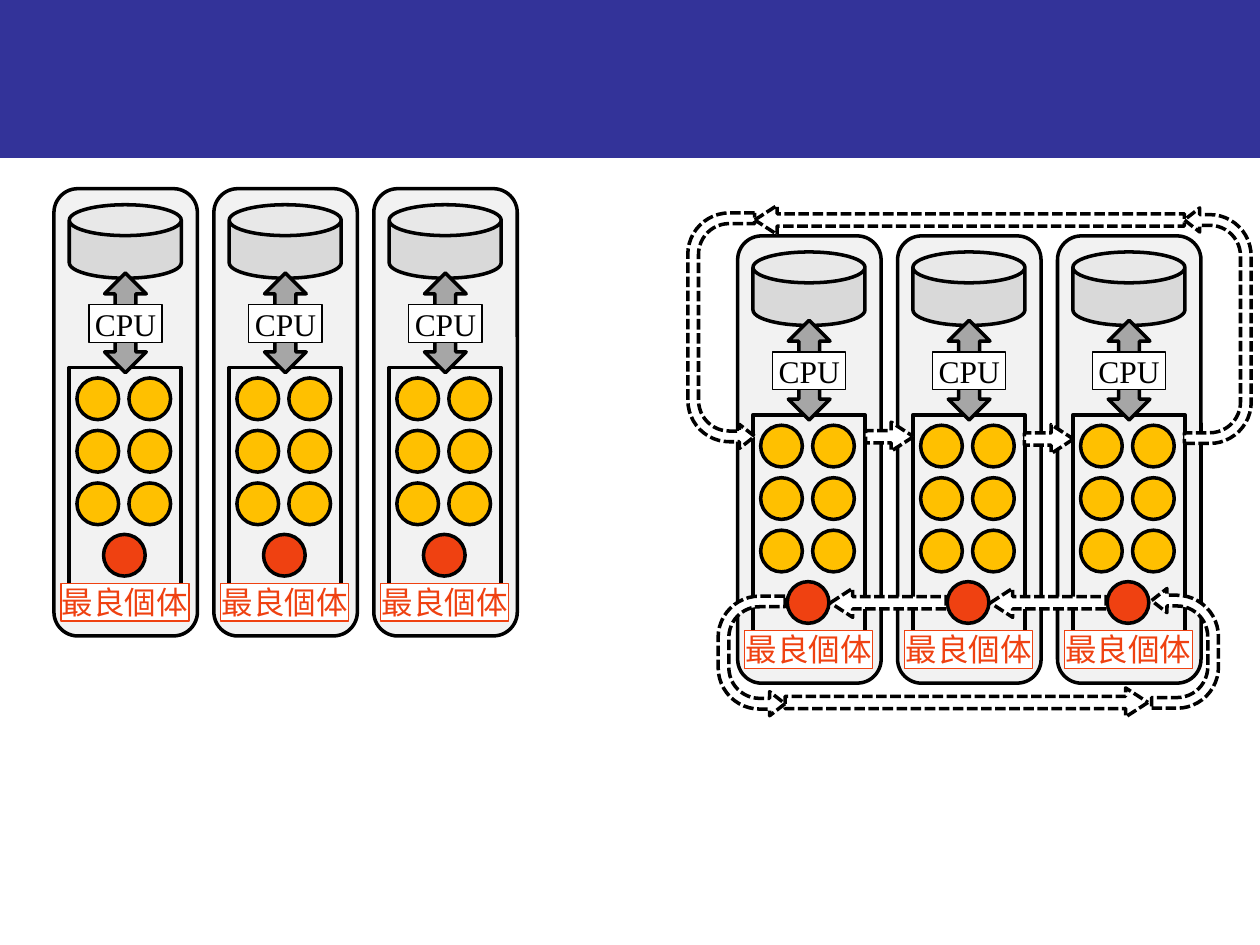
from pptx import Presentation
from pptx.dml.color import RGBColor
from pptx.enum.dml import MSO_LINE
from pptx.enum.shapes import MSO_SHAPE
from pptx.enum.text import MSO_ANCHOR, PP_ALIGN
from pptx.util import Pt

BLACK = RGBColor(0x00, 0x00, 0x00)
WHITE = RGBColor(0xFF, 0xFF, 0xFF)
BLUE = RGBColor(0x33, 0x33, 0x99)
PALE = RGBColor(0xF2, 0xF2, 0xF2)
SILVER = RGBColor(0xD9, 0xD9, 0xD9)
GRAY = RGBColor(0xA6, 0xA6, 0xA6)
GOLD = RGBColor(0xFF, 0xC0, 0x00)
RED = RGBColor(0xEF, 0x41, 0x11)

TOP, LOW = 107.8, 134.8
LEFT, RIGHT = 30.8, 421.5
PITCH = 91.4
DOT = 23.8


class Board:
    """Draw the parts of the island model on one slide."""

    font = "Times New Roman"
    size = Pt(18)
    thin = 0.75
    thick = 2

    def __init__(self, slide):
        self.slide = slide

    def shape(self, kind, box, fill, line=BLACK, width=thick, adjust=(), home=None):
        part = (home or self.slide).shapes.add_shape(kind, *map(Pt, box))
        part.shadow.inherit = False
        part.fill.solid()
        part.fill.fore_color.rgb = fill
        part.line.color.rgb = line
        part.line.width = Pt(width)
        for i, value in enumerate(adjust):
            part.adjustments[i] = value
        return part

    def label(self, text, box, color, home):
        part = self.shape(MSO_SHAPE.RECTANGLE, box, WHITE, color, self.thin, home=home)
        frame = part.text_frame
        frame.margin_left = frame.margin_right = frame.margin_top = frame.margin_bottom = 0
        frame.word_wrap = False
        frame.vertical_anchor = MSO_ANCHOR.MIDDLE
        frame.text = text
        para = frame.paragraphs[0]
        para.alignment = PP_ALIGN.CENTER
        font = para.runs[0].font
        font.name, font.size, font.color.rgb = self.font, self.size, color

    def node(self, x, y):
        group = self.slide.shapes.add_group_shape()

        def put(kind, dx, dy, w, h, fill, adjust=()):
            self.shape(kind, (x + dx, y + dy, w, h), fill, adjust=adjust, home=group)

        put(MSO_SHAPE.ROUNDED_RECTANGLE, 0, 0, 82, 255.6, PALE)
        put(MSO_SHAPE.RECTANGLE, 8.8, 102.2, 64, 126, PALE)
        for row in range(3):
            for col in range(2):
                put(MSO_SHAPE.OVAL, 13.2 + 29.7 * col, 108.2 + 30 * row, DOT, DOT, GOLD)
        put(MSO_SHAPE.CAN, 8.8, 9.2, 64, 42, SILVER, (0.42,))
        put(MSO_SHAPE.UP_DOWN_ARROW, 29, 48.2, DOT, 57, GRAY)
        self.label("CPU", (x + 20, y + 66.4, 41.8, 21.6), BLACK, group)
        self.label("最良個体", (x + 4, y + 225.5, 73.2, 21.6), RED, group)
        put(MSO_SHAPE.OVAL, 28.4, 197.6, DOT, DOT, RED)

    def dash(self, kind, box, turn, adjust):
        part = self.shape(kind, box, WHITE, adjust=adjust)
        part.line.dash_style = MSO_LINE.SQUARE_DOT
        part.rotation = turn
        return part

    def arrow(self, x, y, w, turn=0):
        self.dash(MSO_SHAPE.LEFT_ARROW, (x, y, w, 16.6), turn, (0.42, 0.77))

    def bend(self, x, y, w, turn):
        part = self.dash(MSO_SHAPE.U_TURN_ARROW, (x, y, w, 38.2), turn,
                         (0.16, 0.18, 0.23, 0.62, 1))
        part.element.spPr.get_or_add_xfrm().set("flipH", "1")


def main():
    deck = Presentation()
    deck.slide_width, deck.slide_height = Pt(720), Pt(540)
    board = Board(deck.slides.add_slide(deck.slide_layouts[6]))

    board.shape(MSO_SHAPE.RECTANGLE, (0, 0, 720, 90), BLUE, BLUE, board.thin)
    for i in range(3):
        board.node(LEFT + PITCH * i, TOP)

    board.node(RIGHT, LOW)
    board.arrow(448.6, 393.1, 207.4, 180)
    board.bend(395.3, 355.7, 68.4, 270)
    for i in (1, 2):
        board.node(RIGHT + PITCH * i, LOW)
    board.bend(643, 351.4, 68.4, 90)
    for i in (1, 0):
        board.arrow(474.5 + PITCH * i, 336.2, 66.2)
    board.bend(344.9, 169.9, 134.6, 270)
    board.arrow(431.3, 117.4, 245.5)
    board.bend(628.6, 167, 134.6, 90)
    board.arrow(494.6, 241.2, 27.4, 180)
    board.arrow(585.4, 242.6, 28, 180)

    deck.save("out.pptx")


if __name__ == "__main__":
    main()
